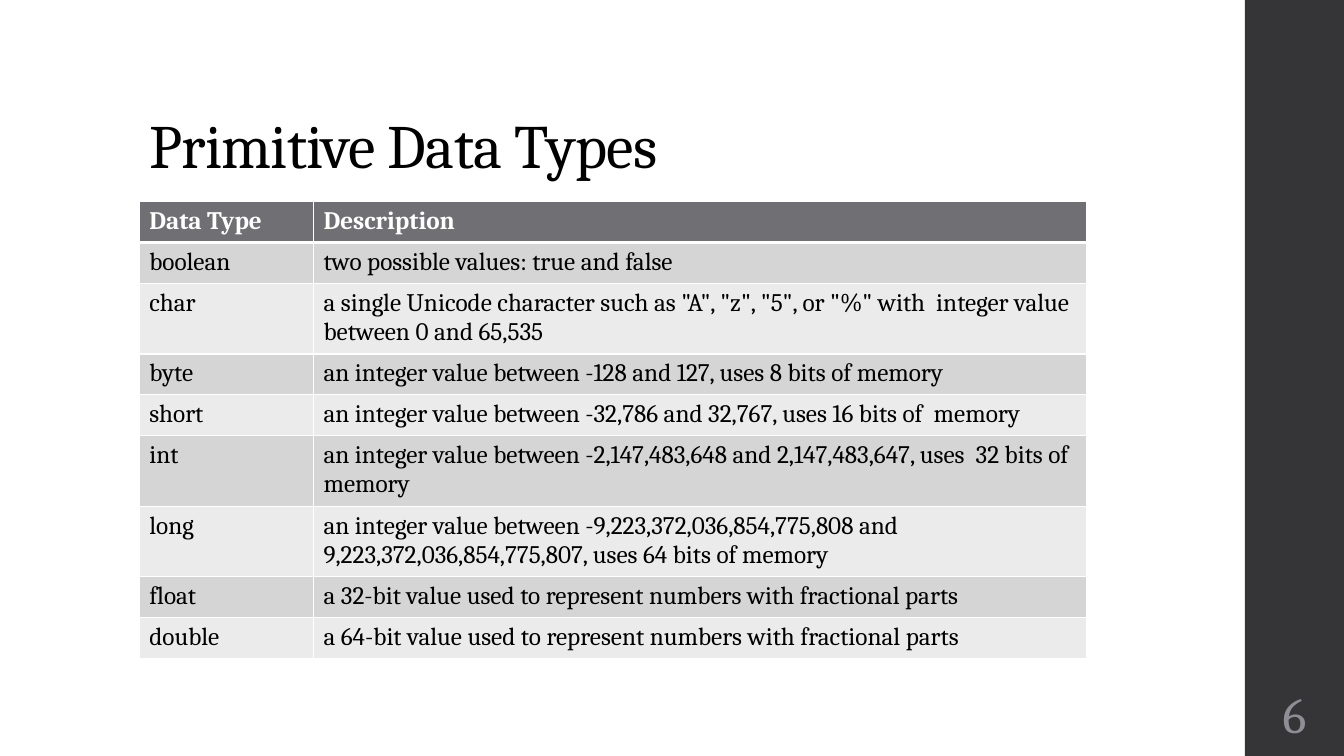
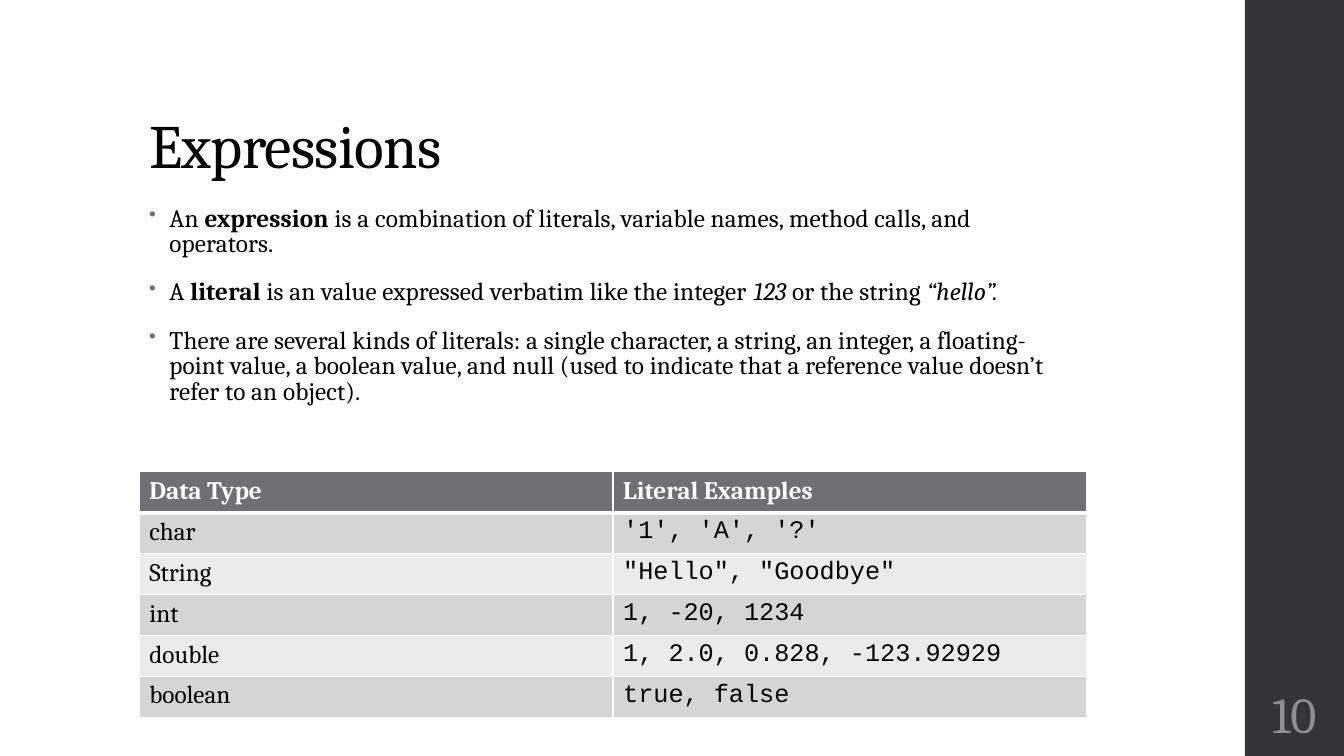
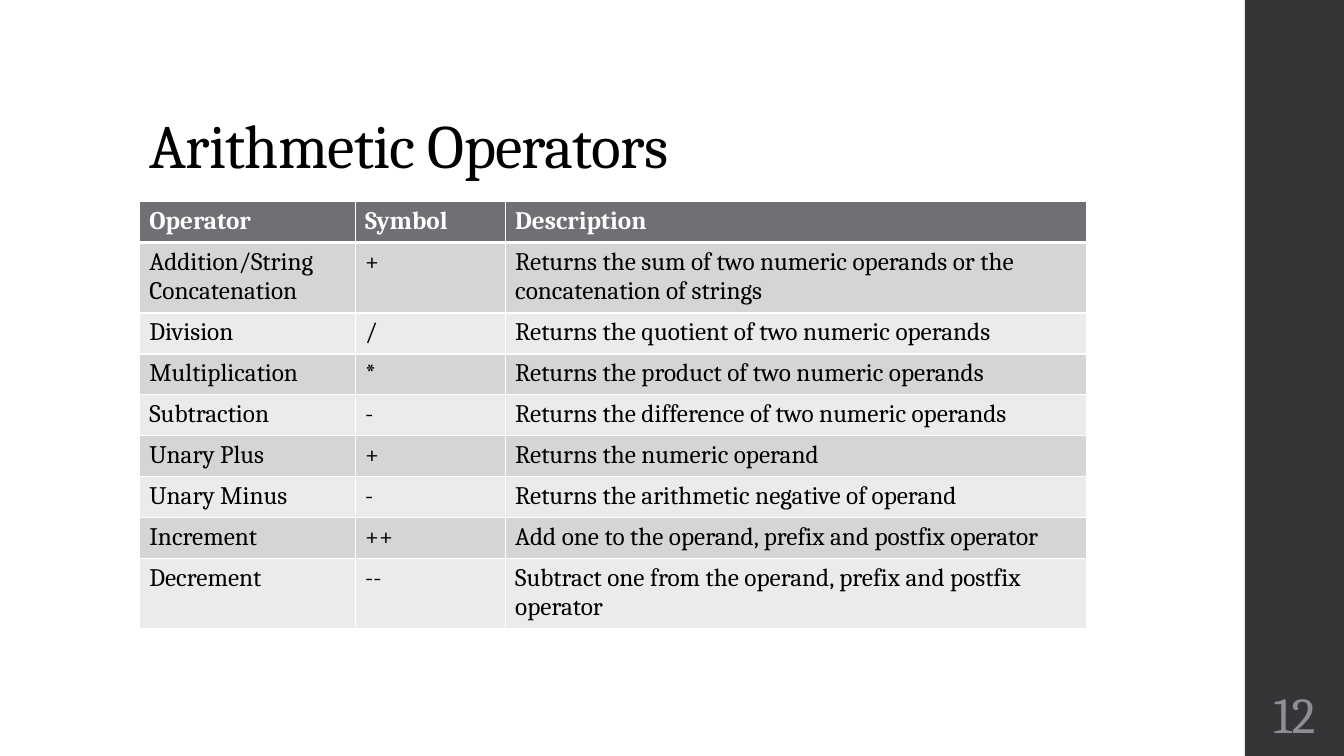
from lxml.etree import SubElement
from pptx import Presentation
from pptx.dml.color import RGBColor
from pptx.enum.shapes import MSO_SHAPE
from pptx.enum.text import MSO_ANCHOR, PP_ALIGN
from pptx.oxml.ns import qn
from pptx.util import Cm, Pt

BLACK, WHITE = "000000", "FFFFFF"
BAND, GREY, NUMBER = "353537", "6F6F74", "8E8E94"
STRIPES = ("D5D5D6", "EBEBEB")
SERIF, MONO = "Cambria", "Courier New"
SLIDE_WIDTH, SLIDE_HEIGHT = 33.87, 19.05
LEFT, CONTENT_TOP, CONTENT_WIDTH = 3.51, 5.08, 23.88
BAND_LEFT, BAND_WIDTH = 31.37, 2.5
ROW_HEIGHT = 1.03
BOLD, ITALIC = {"bold": True}, {"italic": True}


def color(value):
    """Turn a hex string into a colour."""
    return RGBColor.from_string(value)


def set_all(target, values):
    """Set every attribute named in a dict."""
    for name, value in values.items():
        setattr(target, name, value)


def add_span(para, text, size=18, fill=BLACK, font=SERIF, tracking=0, **values):
    """Add one run of text, with tracking in hundredths of a point."""
    span = para.add_run()
    span.text = text
    set_all(span.font, {"name": font, "size": Pt(size), **values})
    span.font.color.rgb = color(fill)
    if tracking:
        span._r.get_or_add_rPr().set("spc", str(tracking))


def add_bullet(para):
    """Give a paragraph a hanging grey bullet."""
    properties = para._p.get_or_add_pPr()
    properties.set("marL", str(Cm(0.51)))
    properties.set("indent", str(-Cm(0.51)))
    bullet_color = SubElement(properties, qn("a:buClr"))
    SubElement(bullet_color, qn("a:srgbClr"), val=GREY)
    SubElement(properties, qn("a:buSzPct"), val="80000")
    SubElement(properties, qn("a:buChar"), char="•")


def add_borders(cell, top, bottom):
    """Draw white cell borders; top and bottom are widths in points."""
    properties = cell._tc.get_or_add_tcPr()
    for side, width in {"L": 1, "R": 1, "T": top, "B": bottom}.items():
        line = SubElement(properties, qn("a:ln" + side), w=str(Pt(width)))
        fill = SubElement(line, qn("a:solidFill"))
        SubElement(fill, qn("a:srgbClr"), val=WHITE)


class LectureDeck:
    """Holds the shared style and the current slide."""

    def __init__(self):
        """Start an empty widescreen deck."""
        self.deck = Presentation()
        self.deck.slide_width = Cm(SLIDE_WIDTH)
        self.deck.slide_height = Cm(SLIDE_HEIGHT)
        self.page = None

    def add_page(self, title, number):
        """Start a slide with its band, title and page number."""
        self.page = self.deck.slides.add_slide(self.deck.slide_layouts[6])
        self.add_band()
        heading = self.add_box(LEFT, 1.02, 26.92, 4.7 - 1.02,
                               vertical_anchor=MSO_ANCHOR.BOTTOM)
        para = heading.paragraphs[0]
        para.line_spacing = 0.9
        add_span(para, title, size=44, tracking=-50)
        inset = Cm(0.13)
        footer = self.add_box(BAND_LEFT, 17.15, BAND_WIDTH, 1.65,
                              vertical_anchor=MSO_ANCHOR.MIDDLE,
                              margin_left=inset, margin_right=inset)
        para = footer.paragraphs[0]
        para.alignment = PP_ALIGN.CENTER
        add_span(para, str(number), size=36, fill=NUMBER)

    def add_band(self):
        """Draw the dark band on the right edge."""
        band = self.page.shapes.add_shape(
            MSO_SHAPE.RECTANGLE, Cm(BAND_LEFT), 0, Cm(BAND_WIDTH), Cm(SLIDE_HEIGHT))
        band.shadow.inherit = False
        band.fill.solid()
        band.fill.fore_color.rgb = color(BAND)
        band.line.fill.background()

    def add_box(self, left, top, width, height, **values):
        """Add a wrapping text box and return its text frame."""
        box = self.page.shapes.add_textbox(Cm(left), Cm(top), Cm(width), Cm(height))
        set_all(box.text_frame, {"word_wrap": True, **values})
        return box.text_frame

    def add_bullets(self, items, height):
        """Add bulleted paragraphs, each a list of (text, format) spans."""
        frame = self.add_box(LEFT, CONTENT_TOP, CONTENT_WIDTH, height)
        for index, spans in enumerate(items):
            para = frame.add_paragraph() if index else frame.paragraphs[0]
            set_all(para, {"line_spacing": 0.85, "space_before": Pt(14),
                           "space_after": Pt(2)})
            add_bullet(para)
            for text, values in spans:
                add_span(para, text, tracking=10, **values)

    def add_table(self, rows, widths, top=CONTENT_TOP, fonts=None):
        """Add a striped table whose first row is the header."""
        fonts = fonts or [SERIF] * len(widths)
        table = self.page.shapes.add_table(
            len(rows), len(widths), Cm(LEFT), Cm(top),
            Cm(sum(widths)), Cm(ROW_HEIGHT * len(rows))).table
        table.horz_banding = False
        for column, width in zip(table.columns, widths):
            column.width = Cm(width)
        for index, texts in enumerate(rows):
            table.rows[index].height = Cm(ROW_HEIGHT)
            header = index == 0
            for position, text in enumerate(texts):
                cell = table.cell(index, position)
                add_borders(cell, top=3 if index == 1 else 1, bottom=3 if header else 1)
                cell.fill.solid()
                cell.fill.fore_color.rgb = color(GREY if header else STRIPES[(index - 1) % 2])
                add_span(cell.text_frame.paragraphs[0], text,
                         fill=WHITE if header else BLACK,
                         font=SERIF if header else fonts[position], bold=header)


PRIMITIVE_TYPES = [
    ("Data Type", "Description"),
    ("boolean", "two possible values: true and false"),
    ("char", 'a single Unicode character such as "A", "z", "5", or "%" with  integer value '
             "between 0 and 65,535"),
    ("byte", "an integer value between -128 and 127, uses 8 bits of memory"),
    ("short", "an integer value between -32,786 and 32,767, uses 16 bits of  memory"),
    ("int", "an integer value between -2,147,483,648 and 2,147,483,647, uses  32 bits of memory"),
    ("long", "an integer value between -9,223,372,036,854,775,808 and "
             "9,223,372,036,854,775,807, uses 64 bits of memory"),
    ("float", "a 32-bit value used to represent numbers with fractional parts"),
    ("double", "a 64-bit value used to represent numbers with fractional parts"),
]
EXPRESSION_NOTES = [
    [("An ", {}), ("expression ", BOLD),
     ("is a combination of literals, variable names, method calls, and operators.", {})],
    [("A ", {}), ("literal", BOLD),
     (" is an value expressed verbatim like the integer ", {}), ("123", ITALIC),
     (" or the string ", {}), ("“hello”.", ITALIC)],
    [("There are several kinds of literals: a single character, a string, an integer, "
      "a floating-point value, a boolean value, and null (used to indicate that a "
      "reference value doesn’t refer to an object).", {})],
]
LITERALS = [
    ("Data Type", "Literal Examples"),
    ("char", "'1', 'A', '?'"),
    ("String", '"Hello", "Goodbye"'),
    ("int", "1, -20, 1234"),
    ("double", "1, 2.0, 0.828, -123.92929"),
    ("boolean", "true, false"),
]
OPERATORS = [
    ("Operator", "Symbol", "Description"),
    ("Addition/String Concatenation", "+",
     "Returns the sum of two numeric operands or the concatenation of strings"),
    ("Division", "/", "Returns the quotient of two numeric operands"),
    ("Multiplication", "*", "Returns the product of two numeric operands"),
    ("Subtraction", "-", "Returns the difference of two numeric operands"),
    ("Unary Plus", "+", "Returns the numeric operand"),
    ("Unary Minus", "-", "Returns the arithmetic negative of operand"),
    ("Increment", "++", "Add one to the operand, prefix and postfix operator"),
    ("Decrement", "--", "Subtract one from the operand, prefix and postfix operator"),
]

lecture = LectureDeck()

lecture.add_page("Primitive Data Types", 6)
lecture.add_table(PRIMITIVE_TYPES, [4.39, 19.49])

lecture.add_page("Expressions", 10)
lecture.add_bullets(EXPRESSION_NOTES, height=6.43)
lecture.add_table(LITERALS, [CONTENT_WIDTH / 2] * 2, top=11.89, fonts=[SERIF, MONO])

lecture.add_page("Arithmetic Operators", 12)
lecture.add_table(OPERATORS, [5.44, 3.78, 14.66])

lecture.deck.save("out.pptx")
